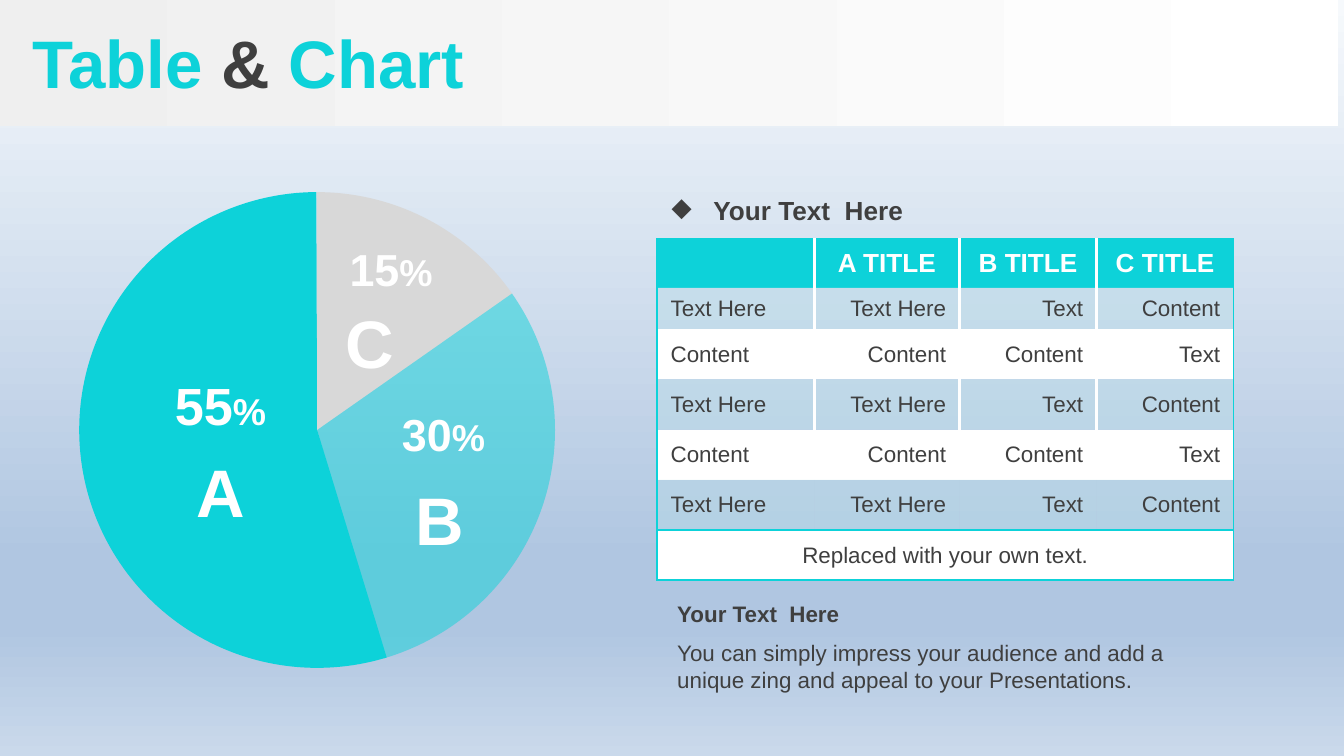
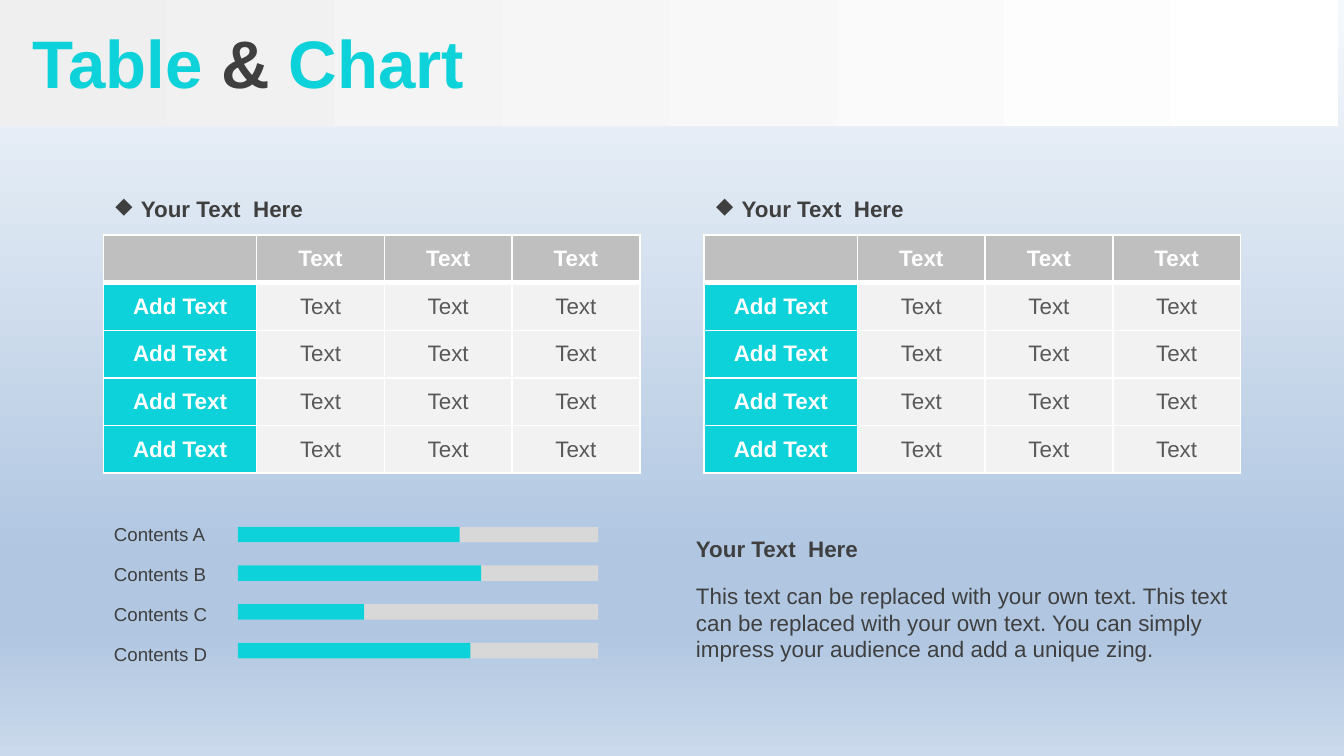
from dataclasses import dataclass, field
from typing import Callable, NamedTuple

from lxml.etree import SubElement
from pptx import Presentation
from pptx.dml.color import RGBColor
from pptx.enum.shapes import MSO_SHAPE as Preset
from pptx.enum.text import MSO_ANCHOR as Anchor, PP_ALIGN as Align
from pptx.oxml.ns import qn
from pptx.util import Emu, Inches, Pt

FONT = "Arial"
COLOURS = {
    "teal": "0DD2D9",
    "ink": "3F3F3F",
    "cell ink": "595959",
    "white": "FFFFFF",
    "silver": "D8D8D8",
    "header grey": "BFBFBF",
    "cell grey": "F2F2F2",
    "pale blue": "B6DDE7",
    "band start": "EFEFEF",
    "sky top": "F6F9FC",
    "sky deep": "B0C6E1",
    "sky bottom": "CAD9EB",
}
SKY = [(0, "sky top"), (74, "sky deep"), (83, "sky deep"), (100, "sky bottom")]
BAND = [(0, "band start"), (100, "white")]
PLAIN_TABLE_STYLE = "{2D5ABB26-0587-4C30-8999-92F81FD0307C}"

# The grid has 100 columns and 56.25 rows of a tenth of an inch each.
UNIT = Inches(0.1)
COLUMNS, ROWS = 100, 56.25


def grid(count: float) -> Emu:
    """Length of a number of grid columns or rows."""
    return Emu(round(count * UNIT))


class Area(NamedTuple):
    column: float
    row: float
    columns: float
    rows: float

    def lengths(self) -> list[Emu]:
        return [grid(count) for count in self]


class Span(NamedTuple):
    text: str
    size: float | None = None
    colour: str | None = None


class Slice(NamedTuple):
    letter: str
    percent: str
    start: float
    end: float
    colour: str
    opacity: int
    percent_size: int
    percent_area: Area
    letter_area: Area


class Bar(NamedTuple):
    label: str
    columns: float


@dataclass
class CellStyle:
    fill: str
    colour: str
    align: Align = Align.CENTER
    size: int = 12
    bold: bool = False
    opacity: int = 100
    borders: dict[str, tuple[str, float]] = field(default_factory=dict)


def rgb(name: str) -> RGBColor:
    return RGBColor.from_string(COLOURS[name])


def set_solid(fill, owner, colour: str, opacity: int = 100) -> None:
    """Fill with one colour; owner is the XML element that holds the fill."""
    fill.solid()
    fill.fore_color.rgb = rgb(colour)
    if opacity < 100:
        tone = owner.find(f"{qn('a:solidFill')}/{qn('a:srgbClr')}")
        SubElement(tone, qn("a:alpha"), val=str(opacity * 1000))


def set_gradient(fill, owner, stops: list[tuple[int, str]], angle: int) -> None:
    fill.gradient()
    fill.gradient_angle = angle
    stop_list = next(owner.iter(qn("a:gsLst")))
    stop_list.clear()
    for position, colour in stops:
        stop = SubElement(stop_list, qn("a:gs"), pos=str(position * 1000))
        SubElement(stop, qn("a:srgbClr"), val=COLOURS[colour])


def write_text(frame, text: str | list[Span], *, size: float = 12, colour: str = "ink",
               bold: bool = False, align: Align = Align.LEFT,
               bullet_indent: float = 0) -> None:
    para = frame.paragraphs[0]
    para.alignment = align
    if bullet_indent:
        props = para._p.get_or_add_pPr()
        props.set("marL", str(grid(bullet_indent)))
        props.set("indent", str(-grid(bullet_indent)))
        SubElement(SubElement(props, qn("a:buClr")), qn("a:srgbClr"), val=COLOURS[colour])
        SubElement(props, qn("a:buChar"), char="◆")
    for piece in [Span(text)] if isinstance(text, str) else text:
        span = para.add_run()
        span.text = piece.text
        span.font.name = FONT
        span.font.size = Pt(piece.size or size)
        span.font.bold = bold
        span.font.color.rgb = rgb(piece.colour or colour)


def add_text(shapes, area: Area, text: str | list[Span], **text_format):
    box = shapes.add_textbox(*area.lengths())
    box.text_frame.word_wrap = True
    write_text(box.text_frame, text, **text_format)
    return box


def add_shape(shapes, preset: Preset, area: Area, colour: str, opacity: int = 100):
    shape = shapes.add_shape(preset, *area.lengths())
    shape.shadow.inherit = False
    shape.line.fill.background()
    set_solid(shape.fill, shape.element.spPr, colour, opacity)
    return shape


def set_borders(cell, borders: dict[str, tuple[str, float]]) -> None:
    """Draw the named sides (L, R, T, B); call it before the cell is filled."""
    props = cell._tc.get_or_add_tcPr()
    for side in "LRTB":
        if side in borders:
            colour, width = borders[side]
            line = SubElement(props, qn(f"a:ln{side}"), w=str(Pt(width)))
            SubElement(SubElement(line, qn("a:solidFill")), qn("a:srgbClr"),
                       val=COLOURS[colour])


def add_table(page, area: Area, widths: list[float], heights: list[float],
              texts: list[list[str]], style_at: Callable[[int, int], CellStyle]):
    frame = page.shapes.add_table(len(heights), len(widths), *area.lengths())
    table = frame.table
    next(frame.element.iter(qn("a:tableStyleId"))).text = PLAIN_TABLE_STYLE
    for column, width in zip(table.columns, widths):
        column.width = grid(width)
    for row, height in zip(table.rows, heights):
        row.height = grid(height)
    for i, row_texts in enumerate(texts):
        for j, text in enumerate(row_texts):
            cell, style = table.cell(i, j), style_at(i, j)
            set_borders(cell, style.borders)
            set_solid(cell.fill, cell._tc.tcPr, style.fill, style.opacity)
            cell.vertical_anchor = Anchor.MIDDLE
            if text:
                write_text(cell.text_frame, text, size=style.size, colour=style.colour,
                           bold=style.bold, align=style.align)
            else:
                SubElement(cell.text_frame.paragraphs[0]._p, qn("a:endParaRPr"),
                           sz=str(style.size * 100))
    return table


def add_page(deck):
    """Blank page with the sky background, the top band and the title."""
    page = deck.slides.add_slide(deck.slide_layouts[6])
    set_gradient(page.background.fill, page.element, SKY, 270)
    band = add_shape(page.shapes, Preset.RECTANGLE, Area(0, 0, 99.6, 9.4), "white")
    set_gradient(band.fill, band.element, BAND, 0)
    title = add_text(page.shapes, Area(0, 0.3, COLUMNS, 8.5),
                     [Span("Table"), Span(" & ", colour="ink"), Span("Chart")],
                     size=36, colour="teal", bold=True)
    title.text_frame.margin_left = grid(2.4)
    title.text_frame.vertical_anchor = Anchor.MIDDLE
    return page


def add_caption(page, column: float, heading_row: float, body_row: float,
                body_size: tuple[float, float], body: str) -> None:
    shapes = page.shapes.add_group_shape().shapes
    width, height = body_size
    add_text(shapes, Area(column, body_row, width, height), body)
    add_text(shapes, Area(column, heading_row, width, 3), "Your Text  Here", bold=True)


PIE_AREA = Area(5.9, 14.3, 35.4, 35.4)
SLICES = [
    Slice("A", "55", 73, 269.8, "teal", 100, 28,
          Area(11.3, 27.3, 10.2, 5.7), Area(13.5, 33, 5.9, 7.1)),
    Slice("C", "15", 269.9, 325, "silver", 100, 24,
          Area(24, 17.5, 10.2, 5), Area(24.6, 21.9, 5.9, 7.1)),
    Slice("B", "30", 325, 73.7, "teal", 50, 24,
          Area(27.9, 29.8, 10.2, 5), Area(29.8, 35.1, 5.9, 7.1)),
]


def add_pie(page) -> None:
    pie = page.shapes.add_group_shape().shapes
    for part in SLICES:
        wedge = add_shape(pie, Preset.PIE, PIE_AREA, part.colour, part.opacity)
        for index, degrees in enumerate((part.start, part.end)):
            wedge.adjustments[index] = degrees * 0.6
    for part in SLICES:
        label = {"colour": "white", "bold": True, "align": Align.CENTER}
        add_text(page.shapes, part.percent_area, [Span(part.percent), Span("%", 20)],
                 size=part.percent_size, **label)
        add_text(page.shapes, part.letter_area, part.letter, size=36, **label)


STRIPED = ["Text Here", "Text Here", "Text", "Content"]
UNSTRIPED = ["Content", "Content", "Content", "Text"]
CONTENT_ROWS = [
    ["", "A TITLE", "B TITLE", "C TITLE"],
    STRIPED, UNSTRIPED, STRIPED, UNSTRIPED, STRIPED,
    ["Replaced with your own text.", "", "", ""],
]


def content_style(row: int, column: int) -> CellStyle:
    outline, divider = ("teal", 1), ("white", 2.25)
    last_row, last_column = len(CONTENT_ROWS) - 1, 3
    borders = {}
    if row < 4:
        borders = {"L": divider, "R": divider}
    if column == 0:
        borders["L"] = outline
    if column == last_column:
        borders["R"] = outline
    if row == 0:
        borders["T"] = outline
        return CellStyle("teal", "white", size=14, bold=True, borders=borders)
    if row == last_row:
        borders |= {"T": outline, "B": outline}
        if column == 0:
            borders["R"] = outline
        return CellStyle("white", "ink", borders=borders)
    if row == last_row - 1:
        borders["B"] = outline
    fill, opacity = ("pale blue", 40) if row % 2 else ("white", 100)
    align = Align.RIGHT if column else Align.LEFT
    return CellStyle(fill, "ink", align, opacity=opacity, borders=borders)


TEXT_ROWS = [[""] + ["Text"] * 3] + [["Add Text"] + ["Text"] * 3] * 4


def text_style(row: int, column: int) -> CellStyle:
    borders = {side: ("white", 1) for side in "LRTB"}
    if row < 2:
        borders["T" if row else "B"] = ("white", 3)
    if row and column:
        return CellStyle("cell grey", "cell ink", borders=borders)
    return CellStyle("teal" if row else "header grey", "white", bold=True, borders=borders)


BARS = [Bar("Contents A", 16.5), Bar("Contents B", 18.1),
        Bar("Contents C", 9.4), Bar("Contents D", 17.3)]


def add_bars(page) -> None:
    labels = page.shapes.add_group_shape().shapes
    for index, bar in enumerate(BARS):
        add_text(labels, Area(7.5, 38.4 + 2.97 * index, 9.3, 2.7), bar.label, size=10)
    bars = page.shapes.add_group_shape().shapes
    for index, bar in enumerate(BARS):
        for colour, length in (("silver", 26.8), ("teal", bar.columns)):
            add_shape(bars, Preset.RECTANGLE,
                      Area(17.7, 39.2 + 2.88 * index, length, 1.15), colour)


def build_pie_page(deck) -> None:
    page = add_page(deck)
    add_pie(page)
    table = add_table(page, Area(48.9, 17.8, 42.9, 25.4), [11.7, 10.8, 10.2, 10.2],
                      [3.6, 3.1] + [3.74] * 5, CONTENT_ROWS, content_style)
    table.cell(6, 0).merge(table.cell(6, 3))
    add_text(page.shapes, Area(49, 14, 23.6, 3.4), "Your Text  Here",
             size=14, bold=True, bullet_indent=3.1)
    add_caption(page, 49.4, 44.2, 47.1, (41.9, 5),
                "You can simply impress your audience and add a unique zing "
                "and appeal to your Presentations.")


def build_bar_page(deck) -> None:
    page = add_page(deck)
    for column in (7.7, 52.4):
        add_text(page.shapes, Area(column - 0.1, 14, 18.2, 3), "Your Text  Here",
                 bold=True, bullet_indent=1.9)
        add_table(page, Area(column, 17.5, 39.9, 17.7), [11.4] + [9.5] * 3,
                  [3.54] * 5, TEXT_ROWS, text_style)
    add_bars(page)
    add_caption(page, 50.8, 39.3, 42.8, (42.1, 7.1),
                "This text can be replaced with your own text. This text can be replaced "
                "with your own text. You can simply impress your audience and add a "
                "unique zing.")


def main() -> None:
    deck = Presentation()
    deck.slide_width, deck.slide_height = grid(COLUMNS), grid(ROWS)
    build_pie_page(deck)
    build_bar_page(deck)
    deck.save("out.pptx")


if __name__ == "__main__":
    main()
